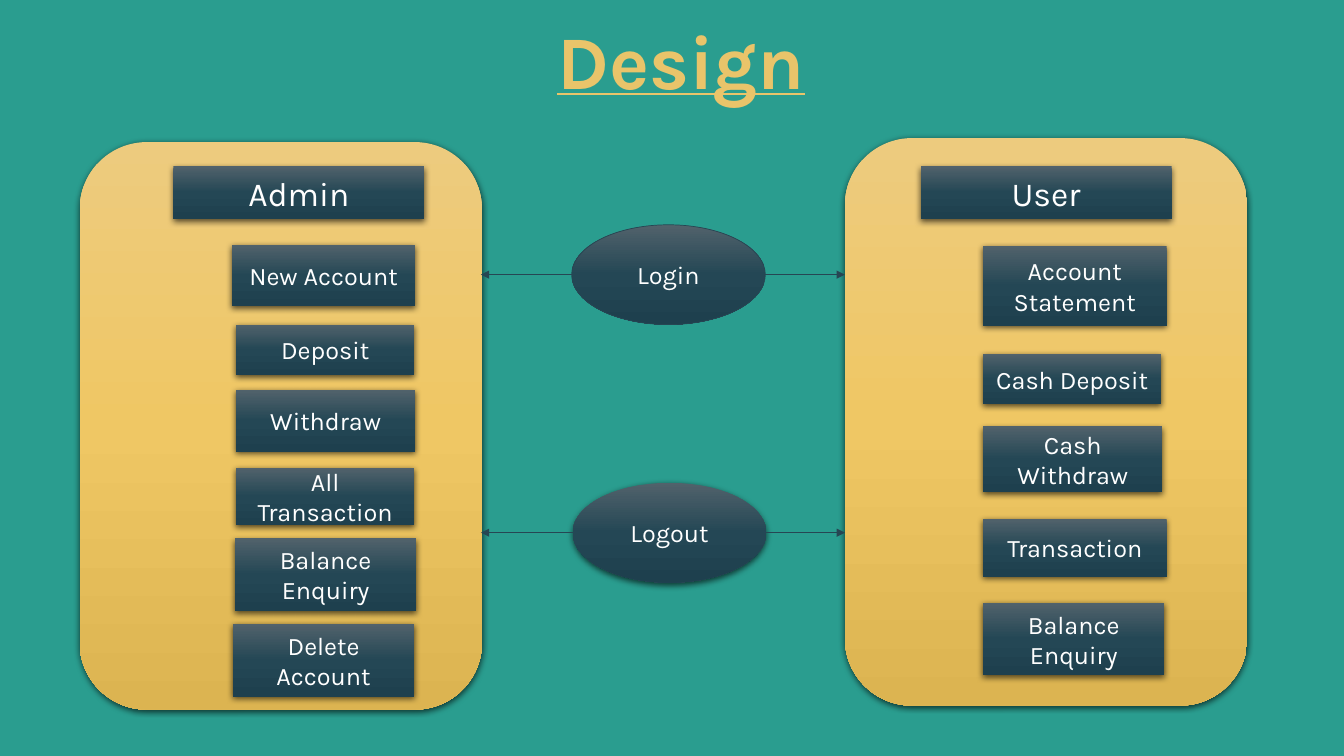
from dataclasses import dataclass

from lxml.etree import SubElement
from pptx import Presentation
from pptx.dml.color import RGBColor
from pptx.enum.shapes import MSO_CONNECTOR, MSO_SHAPE
from pptx.enum.text import MSO_ANCHOR, PP_ALIGN
from pptx.oxml.ns import qn
from pptx.shapes.autoshape import Shape
from pptx.slide import Slide
from pptx.util import Inches, Pt

COLORS = {
    "background": "2A9D8F",
    "title": "E9C46A",
    "label": "FFFFFF",
    "outline": "264653",
    "shadow": "000000",
}
GRADIENTS = {
    "dark": ("51626B", "244755", "1E404E"),
    "gold": ("EDCB7E", "EFC764", "DCB451"),
}
FONT = "Karla"
BOX_LEFT_USER = 9.75


@dataclass
class Block:
    label: str
    left: float
    top: float
    width: float
    height: float
    kind: MSO_SHAPE = MSO_SHAPE.RECTANGLE
    gradient: str = "dark"
    size: int = 18
    outlined: bool = False


@dataclass
class Panel:
    title: str
    left: float
    top: float
    title_left: float
    actions: list[Block]


PANELS = [
    Panel("Admin", 0.79, 1.41, 1.72, [
        Block("New Account", 2.3, 2.43, 1.82, 0.61),
        Block("Deposit", 2.34, 3.22, 1.77, 0.5),
        Block("Withdraw", 2.34, 3.87, 1.78, 0.61),
        Block("All Transaction", 2.34, 4.64, 1.77, 0.57),
        Block("Balance Enquiry", 2.33, 5.34, 1.8, 0.72),
        Block("Delete Account", 2.31, 6.19, 1.8, 0.72),
    ]),
    Panel("User", 8.38, 1.37, 9.13, [
        Block("Account Statement", BOX_LEFT_USER, 2.44, 1.82, 0.79),
        Block("Cash Deposit", BOX_LEFT_USER, 3.51, 1.77, 0.5),
        Block("Cash Withdraw", BOX_LEFT_USER, 4.23, 1.78, 0.65),
        Block("Transaction", BOX_LEFT_USER, 5.15, 1.82, 0.57),
        Block("Balance Enquiry", BOX_LEFT_USER, 5.98, 1.8, 0.72),
    ]),
]
SESSION_STEPS = [
    Block("Login", 5.67, 2.23, 1.92, 0.99, MSO_SHAPE.OVAL, outlined=True),
    Block("Logout", 5.68, 4.79, 1.92, 0.99, MSO_SHAPE.OVAL),
]
ARROW_ENDS = (4.77, 8.38)


def fill_gradient(shape: Shape, colors: tuple[str, ...]) -> None:
    """Fill from top to bottom with evenly spaced colours."""
    gradient = SubElement(shape._element.spPr, qn("a:gradFill"), rotWithShape="1")
    stops = SubElement(gradient, qn("a:gsLst"))
    for index, color in enumerate(colors):
        position = 100000 * index // (len(colors) - 1)
        stop = SubElement(stops, qn("a:gs"), pos=str(position))
        SubElement(stop, qn("a:srgbClr"), val=color)
    SubElement(gradient, qn("a:lin"), ang="5400000", scaled="0")


def add_shadow(shape: Shape) -> None:
    effects = shape._element.spPr.find(qn("a:effectLst"))
    shadow = SubElement(effects, qn("a:outerShdw"), blurRad=str(Pt(4.5)),
                        dist=str(Pt(1.5)), dir="5400000", algn="ctr", rotWithShape="0")
    color = SubElement(shadow, qn("a:srgbClr"), val=COLORS["shadow"])
    SubElement(color, qn("a:alpha"), val="63000")


def write_text(shape: Shape, text: str, color: str, formats: dict) -> None:
    frame = shape.text_frame
    frame.word_wrap = True
    frame.vertical_anchor = MSO_ANCHOR.MIDDLE
    paragraph = frame.paragraphs[0]
    paragraph.alignment = PP_ALIGN.CENTER
    run = paragraph.add_run()
    run.text = text
    for name, value in {"name": FONT, **formats}.items():
        setattr(run.font, name, value)
    run.font.color.rgb = RGBColor.from_string(COLORS[color])


def add_block(slide: Slide, block: Block) -> None:
    position = map(Inches, (block.left, block.top, block.width, block.height))
    shape = slide.shapes.add_shape(block.kind, *position)
    fill_gradient(shape, GRADIENTS[block.gradient])
    shape.shadow.inherit = False
    if block.outlined:
        shape.line.color.rgb = RGBColor.from_string(COLORS["outline"])
        shape.line.width = Pt(0.5)
    else:
        shape.line.fill.background()
        add_shadow(shape)
    if block.label:
        write_text(shape, block.label, "label", {"size": Pt(block.size)})


def add_panel(slide: Slide, panel: Panel) -> None:
    add_block(slide, Block("", panel.left, panel.top, 3.99, 5.63,
                           MSO_SHAPE.ROUNDED_RECTANGLE, "gold"))
    add_block(slide, Block(panel.title, panel.title_left, 1.65, 2.49, 0.52, size=24))
    for action in panel.actions:
        add_block(slide, action)


def add_arrow(slide: Slide, start: float, end: float, height: float) -> None:
    """Draw a level arrow whose head is at end."""
    arrow = slide.shapes.add_connector(
        MSO_CONNECTOR.STRAIGHT, *map(Inches, (start, height, end, height)))
    arrow.line.color.rgb = RGBColor.from_string(COLORS["outline"])
    arrow.line.width = Pt(0.5)
    SubElement(arrow.line._get_or_add_ln(), qn("a:tailEnd"), type="triangle")
    SubElement(arrow._element.spPr, qn("a:effectLst"))


def add_title(slide: Slide) -> None:
    title = slide.shapes.add_textbox(*map(Inches, (0.97, 0.29, 11.67, 0.71)))
    title.text_frame.margin_left = 0
    write_text(title, "Design", "title",
               {"size": Pt(54), "bold": True, "underline": True})
    title.text_frame.paragraphs[0].line_spacing = 0.9


def main() -> None:
    presentation = Presentation()
    presentation.slide_width = Inches(13.33)
    presentation.slide_height = Inches(7.5)
    slide = presentation.slides.add_slide(presentation.slide_layouts[6])
    background = slide.background.fill
    background.solid()
    background.fore_color.rgb = RGBColor.from_string(COLORS["background"])

    add_title(slide)
    for panel in PANELS:
        add_panel(slide, panel)
    for step in SESSION_STEPS:
        add_block(slide, step)
        middle = step.top + step.height / 2
        for start, end in zip((step.left, step.left + step.width), ARROW_ENDS):
            add_arrow(slide, start, end, middle)
    presentation.save("out.pptx")


if __name__ == "__main__":
    main()
